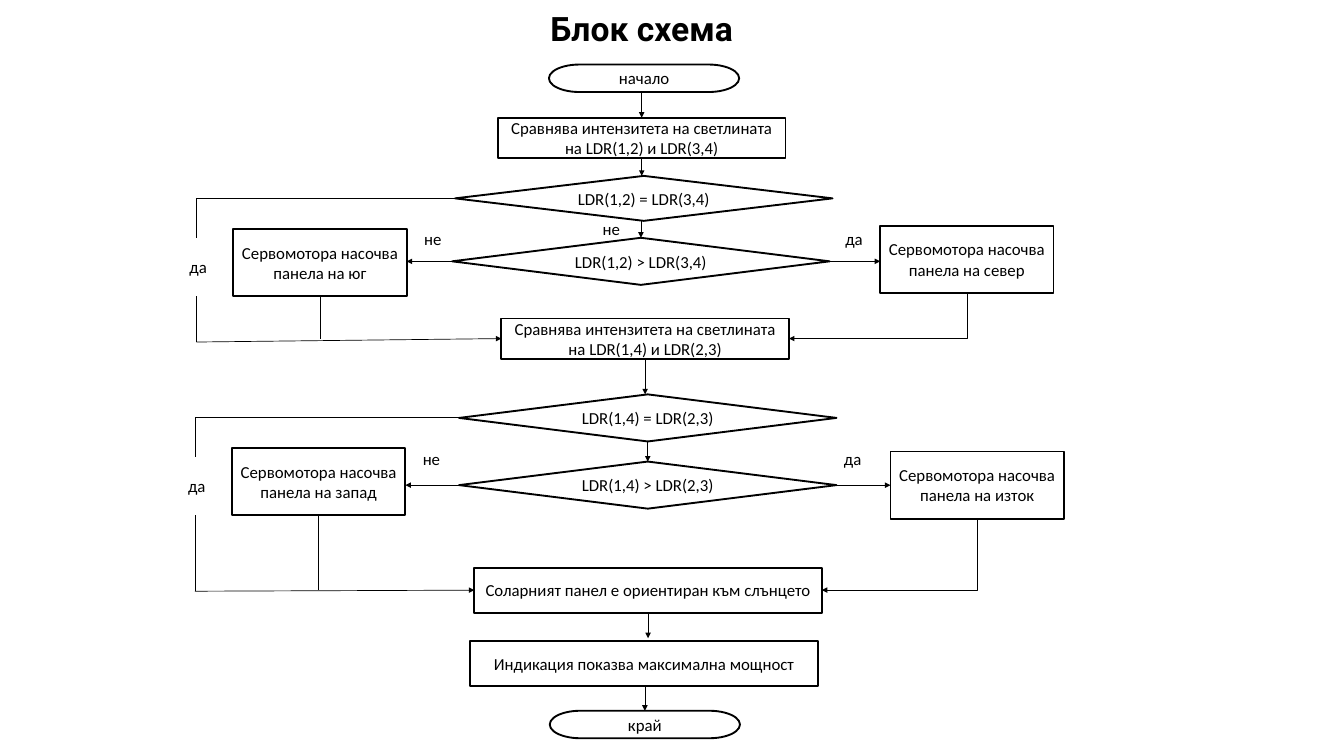
import collections

import lxml.etree
import pptx
import pptx.dml.color
import pptx.enum.shapes
import pptx.enum.text
import pptx.oxml.ns
import pptx.util

Cm = pptx.util.Cm
Pt = pptx.util.Pt
SHAPES = pptx.enum.shapes.MSO_SHAPE
ALIGN = pptx.enum.text.PP_ALIGN
ANCHOR = pptx.enum.text.MSO_ANCHOR
INK = "000000"
PAPER = "FFFFFF"


class Box(collections.namedtuple("Box", "left top width height")):
    @property
    def right(self):
        return self.left + self.width

    @property
    def bottom(self):
        return self.top + self.height

    @property
    def cx(self):
        return self.left + self.width / 2

    @property
    def cy(self):
        return self.top + self.height / 2

    def inner(self, dx, dy, width, height):
        return Box(self.left + dx, self.top + dy, width, height)

    def lengths(self):
        return [Cm(value) for value in self]


def colour(hex_code):
    return pptx.dml.color.RGBColor.from_string(hex_code)


def write(frame, words, align, size=18, font="Calibri", bold=False):
    paragraph = frame.paragraphs[0]
    paragraph.alignment = align
    run = paragraph.add_run()
    run.text = words
    run.font.size = Pt(size)
    run.font.name = font
    run.font.bold = bold
    run.font.color.rgb = colour(INK)


def step(slide, box, words, kind=SHAPES.RECTANGLE):
    block = slide.shapes.add_shape(kind, *box.lengths())
    block.shadow.inherit = False
    block.fill.solid()
    block.fill.fore_color.rgb = colour(PAPER)
    block.line.color.rgb = colour(INK)
    block.line.width = Pt(2)
    block.text_frame.word_wrap = True
    block.text_frame.vertical_anchor = ANCHOR.MIDDLE
    write(block.text_frame, words, ALIGN.CENTER)


def answer(slide, box, words, wrap=True):
    frame = slide.shapes.add_textbox(*box.lengths()).text_frame
    frame.word_wrap = wrap
    frame.auto_size = pptx.enum.text.MSO_AUTO_SIZE.SHAPE_TO_FIT_TEXT
    write(frame, words, ALIGN.LEFT)


def link(slide, start, end, arrow=True):
    connector = slide.shapes.add_connector(
        pptx.enum.shapes.MSO_CONNECTOR.STRAIGHT,
        *[Cm(value) for value in (*start, *end)])
    connector.line.color.rgb = colour(INK)
    connector.line.width = Pt(0.75)
    qn = pptx.oxml.ns.qn
    properties = connector.element.spPr
    lxml.etree.SubElement(properties, qn("a:effectLst"))
    if arrow:
        outline = properties.find(qn("a:ln"))
        lxml.etree.SubElement(outline, qn("a:tailEnd"), type="triangle")
    return connector


def down_then_left(slide, start, end):
    cx, cy = (start[0] + end[0]) / 2, (start[1] + end[1]) / 2
    half_across, half_down = (start[0] - end[0]) / 2, (end[1] - start[1]) / 2
    connector = link(slide, (cx - half_down, cy - half_across),
                     (cx + half_down, cy + half_across))
    qn = pptx.oxml.ns.qn
    properties = connector.element.spPr
    properties.find(qn("a:prstGeom")).set("prst", "bentConnector2")
    properties.find(qn("a:xfrm")).set("rot", "5400000")


def heading(slide, box):
    title = slide.shapes.title
    title.left, title.top, title.width, title.height = box.lengths()
    title.text_frame.word_wrap = True
    title.text_frame.vertical_anchor = ANCHOR.TOP
    title.text_frame.auto_size = pptx.enum.text.MSO_AUTO_SIZE.SHAPE_TO_FIT_TEXT
    write(title.text_frame, "Блок схема", ALIGN.CENTER, 36, "Roboto", True)


def opening(slide, box, compare):
    step(slide, box, "начало", SHAPES.FLOWCHART_TERMINATOR)
    link(slide, (compare.cx, box.bottom), (compare.cx, compare.top))


def comparison(slide, box, first, second, equal):
    step(slide, box, f"Сравнява интензитета на светлината на {first} и {second}")
    link(slide, (box.cx, box.bottom), (box.cx, equal.top))


def decisions(slide, box, first, second, equal, greater, east, target, turns):
    west = box.inner(1.4, 1.17, 6.55, 2.54)
    step(slide, equal, f"{first} = {second}", SHAPES.FLOWCHART_DECISION)
    step(slide, greater, f"{first} > {second}", SHAPES.FLOWCHART_DECISION)
    for side, turn in zip((west, east), turns):
        step(slide, side, f"Сервомотора насочва панела на {turn}")

    link(slide, (greater.cx, equal.bottom), (greater.cx, greater.top))
    link(slide, (greater.left, greater.cy), (west.right, greater.cy))
    link(slide, (greater.right, greater.cy), (east.left, greater.cy))

    link(slide, (equal.left, box.top), (box.left, box.top), False)
    link(slide, (box.left, box.top), (box.left, box.top + 1.5), False)
    link(slide, (box.left, box.top + 3.71), (box.left, box.bottom), False)
    link(slide, (box.left, box.bottom), (target.left, target.cy))
    link(slide, (west.cx, west.bottom), (west.cx, target.cy), False)
    down_then_left(slide, (east.cx, east.bottom), (target.right, target.cy))

    answer(slide, box.inner(-0.51, 2.08, 1.68, 1.02), "да")
    answer(slide, box.inner(8.36, 1.05, 1.5, 1.02), "не")
    answer(slide, box.inner(24.28, 1.05, 1.17, 1.02), "да", False)


def closing(slide, box):
    result = box.inner(0.15, 0, 13.13, 1.7)
    reading = box.inner(0, 2.77, 13.13, 1.7)
    end = box.inner(3, 5.41, 7.19, 1.04)
    step(slide, result, "Соларният панел е ориентиран към слънцето",
         SHAPES.FLOWCHART_PROCESS)
    step(slide, reading, "Индикация показва максимална мощност",
         SHAPES.FLOWCHART_PROCESS)
    step(slide, end, "край", SHAPES.FLOWCHART_TERMINATOR)
    link(slide, (result.cx, result.bottom), (result.cx, reading.top - 0.1))
    link(slide, (end.cx, reading.bottom), (end.cx, end.top))


def main():
    deck = pptx.Presentation()
    deck.slide_width, deck.slide_height = Cm(50.8), Cm(28.58)
    slide = deck.slides.add_slide(deck.slide_layouts[5])

    north_south = Box(18.82, 4.45, 10.87, 1.52)
    east_west = Box(18.95, 12.04, 10.87, 1.52)
    finish = Box(17.78, 21.46, 13.28, 6.45)
    result = finish.inner(0.15, 0, 13.13, 1.7)
    equal_ns = Box(17.2, 6.65, 14.27, 1.7)
    equal_ew = Box(17.35, 14.91, 14.27, 1.78)

    heading(slide, Box(18.82, 0.18, 10.87, 1.8))
    opening(slide, Box(20.75, 2.44, 7.19, 1.04), north_south)
    comparison(slide, north_south, "LDR(1,2)", "LDR(3,4)", equal_ns)
    decisions(slide, Box(7.42, 7.49, 32.4, 5.44), "LDR(1,2)", "LDR(3,4)",
              equal_ns, Box(17.09, 8.99, 14.27, 1.78),
              Box(33.27, 8.53, 6.55, 2.54), east_west, ("юг", "север"))
    answer(slide, Box(22.53, 8.13, 1.17, 1.02), "не", False)
    comparison(slide, east_west, "LDR(1,4)", "LDR(2,3)", equal_ew)
    decisions(slide, Box(7.37, 15.77, 32.84, 6.58), "LDR(1,4)", "LDR(2,3)",
              equal_ew, Box(17.35, 17.45, 14.27, 1.78),
              Box(33.66, 17.07, 6.55, 2.54), result, ("запад", "изток"))
    closing(slide, finish)
    deck.save("out.pptx")


if __name__ == "__main__":
    main()
